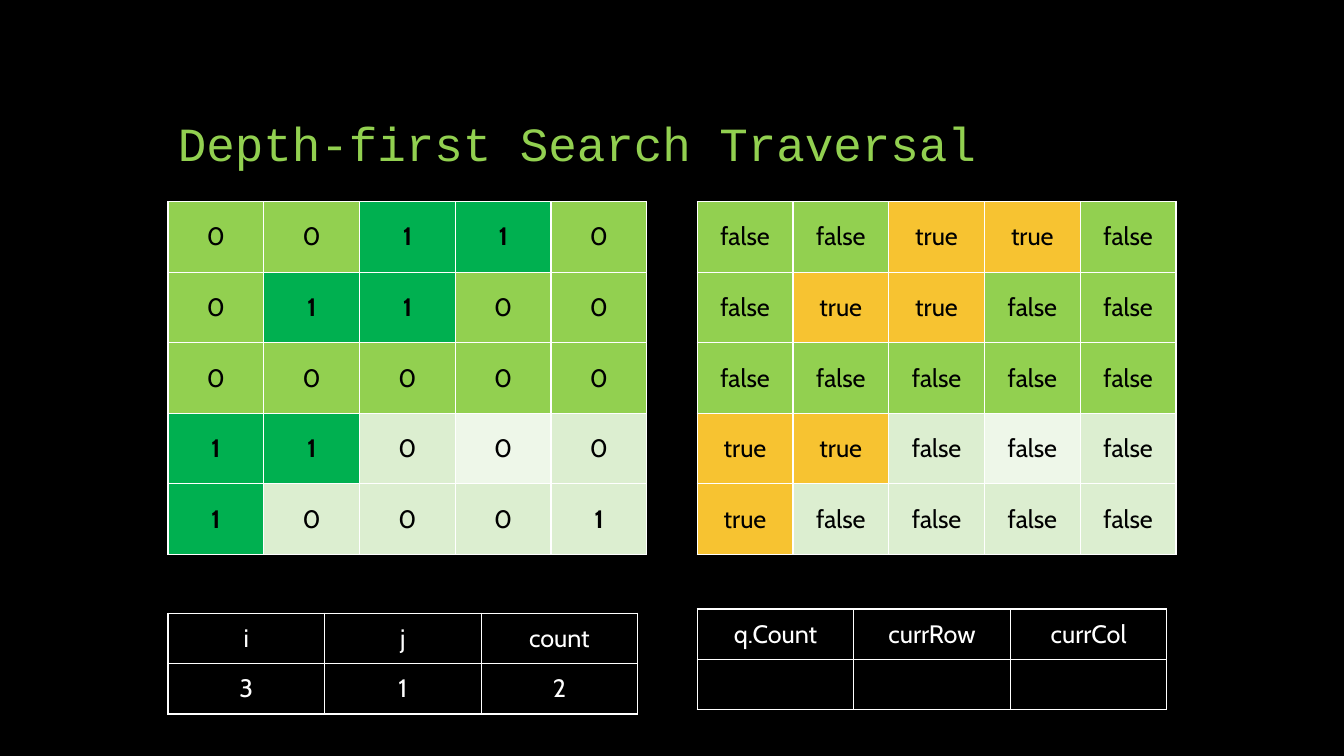
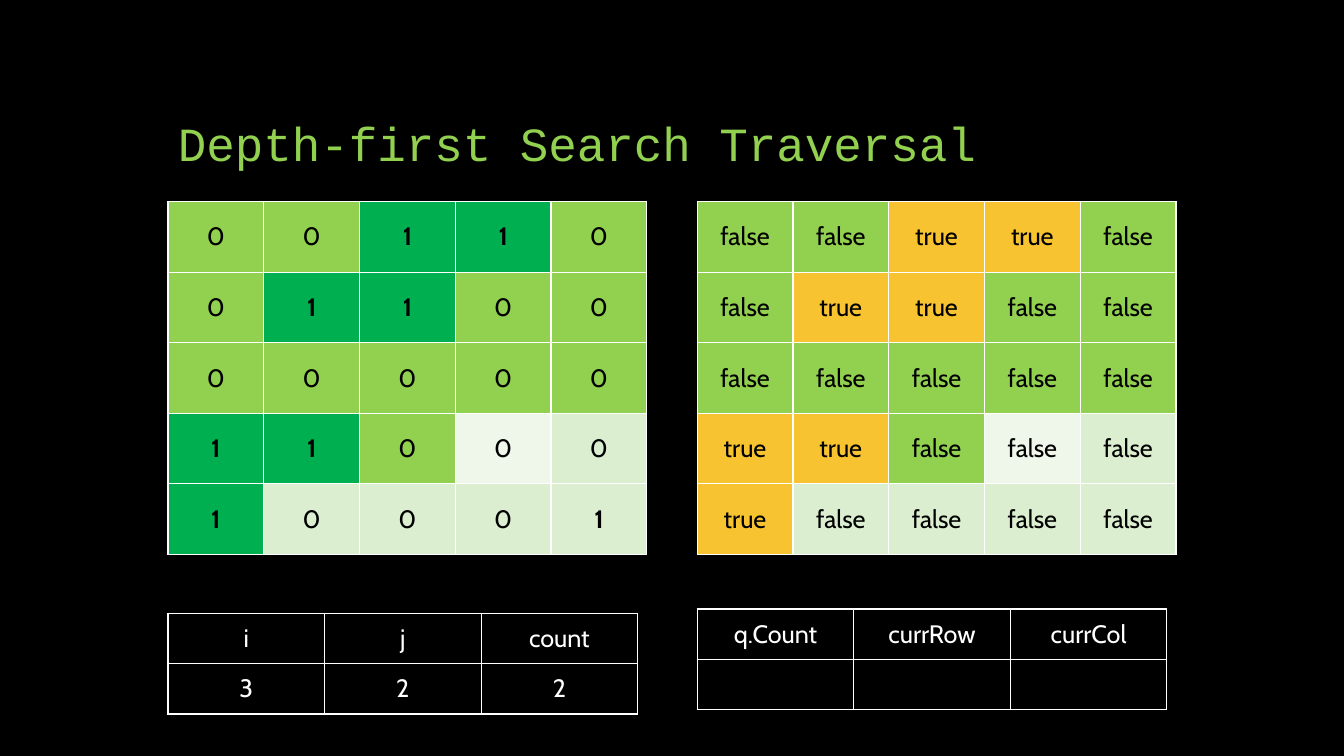
from lxml.etree import SubElement
from pptx import Presentation
from pptx.dml.color import RGBColor
from pptx.enum.text import MSO_ANCHOR as Anchor, PP_ALIGN as Align
from pptx.oxml.ns import qn
from pptx.util import Pt

# Shared style
BLACK, WHITE = "000000", "FFFFFF"
SCANNED, LAND, VISITED = "92D050", "00B050", "F7C331"
UNSEEN, UNSEEN_PALE = "DCEED0", "EEF7E9"
TITLE_FONT, BODY_FONT = "Courier New", "Cabin"

# Shared layout, in points
LEFT, RIGHT, GRID_TOP = 120, 498, 144
GRID_CELL = (68.4, 50.4)
STATE_CELL = (111.84, 36)

# The map being searched
ISLANDS = ["00110", "01100", "00000", "11000", "10001"]
UNREACHED = (4, 4)
PALE_CELL = (3, 3)


def color(value):
    return RGBColor.from_string(value)


def add_span(para, text, font, size, ink, bold=False):
    span = para.add_run()
    span.text = text
    span.font.name = font
    span.font.size = Pt(size)
    span.font.bold = bold
    span.font.color.rgb = color(ink)


def add_title(page, text):
    box = page.shapes.add_textbox(Pt(LEFT), Pt(36), Pt(720), Pt(90))
    frame = box.text_frame
    frame.word_wrap = True
    frame.vertical_anchor = Anchor.BOTTOM
    para = frame.paragraphs[0]
    para.line_spacing = 0.9
    add_span(para, text, TITLE_FONT, 34, SCANNED)


def add_borders(cell):
    properties = cell._tc.get_or_add_tcPr()
    for side in ("a:lnL", "a:lnR", "a:lnT", "a:lnB"):
        line = SubElement(properties, qn(side), w=str(Pt(1)))
        fill = SubElement(line, qn("a:solidFill"))
        SubElement(fill, qn("a:srgbClr"), val=WHITE)


def style_cell(cell, text, ink, fill=None, bold=False):
    add_borders(cell)
    if fill:
        cell.fill.solid()
        cell.fill.fore_color.rgb = color(fill)
    else:
        cell.fill.background()
    cell.vertical_anchor = Anchor.MIDDLE
    para = cell.text_frame.paragraphs[0]
    para.alignment = Align.CENTER
    if text:
        add_span(para, text, BODY_FONT, 18, ink, bold)


def add_table(page, left, top, cell_size, rows):
    """Each entry of rows holds the arguments of style_cell."""
    width, height = cell_size
    count = len(rows[0])
    table = page.shapes.add_table(
        len(rows), count, Pt(left), Pt(top),
        Pt(width * count), Pt(height * len(rows))).table
    table.first_row = table.horz_banding = False
    for column in table.columns:
        column.width = Pt(width)
    for row, entries in zip(table.rows, rows):
        row.height = Pt(height)
        for cell, entry in zip(row.cells, entries):
            style_cell(cell, *entry)


def map_entries(cursor):
    """Return the entries of the island map and of the visited map."""
    islands, visited = [], []
    for i, values in enumerate(ISLANDS):
        islands.append([])
        visited.append([])
        for j, value in enumerate(values):
            land = value == "1"
            reached = land and (i, j) != UNREACHED
            if (i, j) <= cursor:
                base = SCANNED
            else:
                base = UNSEEN_PALE if (i, j) == PALE_CELL else UNSEEN
            islands[i].append((value, BLACK, LAND if reached else base, land))
            visited[i].append(("true" if reached else "false", BLACK,
                               VISITED if reached else base))
    return islands, visited


def add_state(page, left, top, names, values):
    rows = [[(text, WHITE) for text in texts] for texts in (names, values)]
    add_table(page, left, top, STATE_CELL, rows)


def add_step(deck, cursor, count):
    page = deck.slides.add_slide(deck.slide_layouts[6])
    page.background.fill.solid()
    page.background.fill.fore_color.rgb = color(BLACK)
    add_title(page, "Depth-first Search Traversal")

    # Maps
    for left, entries in zip((LEFT, RIGHT), map_entries(cursor)):
        add_table(page, left, GRID_TOP, GRID_CELL, entries)

    # Variables
    i, j = cursor
    add_state(page, LEFT, 438, ("i", "j", "count"), (str(i), str(j), str(count)))
    add_state(page, RIGHT, 435, ("q.Count", "currRow", "currCol"), ("", "", ""))


def main():
    deck = Presentation()
    deck.slide_width, deck.slide_height = Pt(960), Pt(540)
    for cursor in ((3, 1), (3, 2)):
        add_step(deck, cursor, count=2)
    deck.save("out.pptx")


if __name__ == "__main__":
    main()
